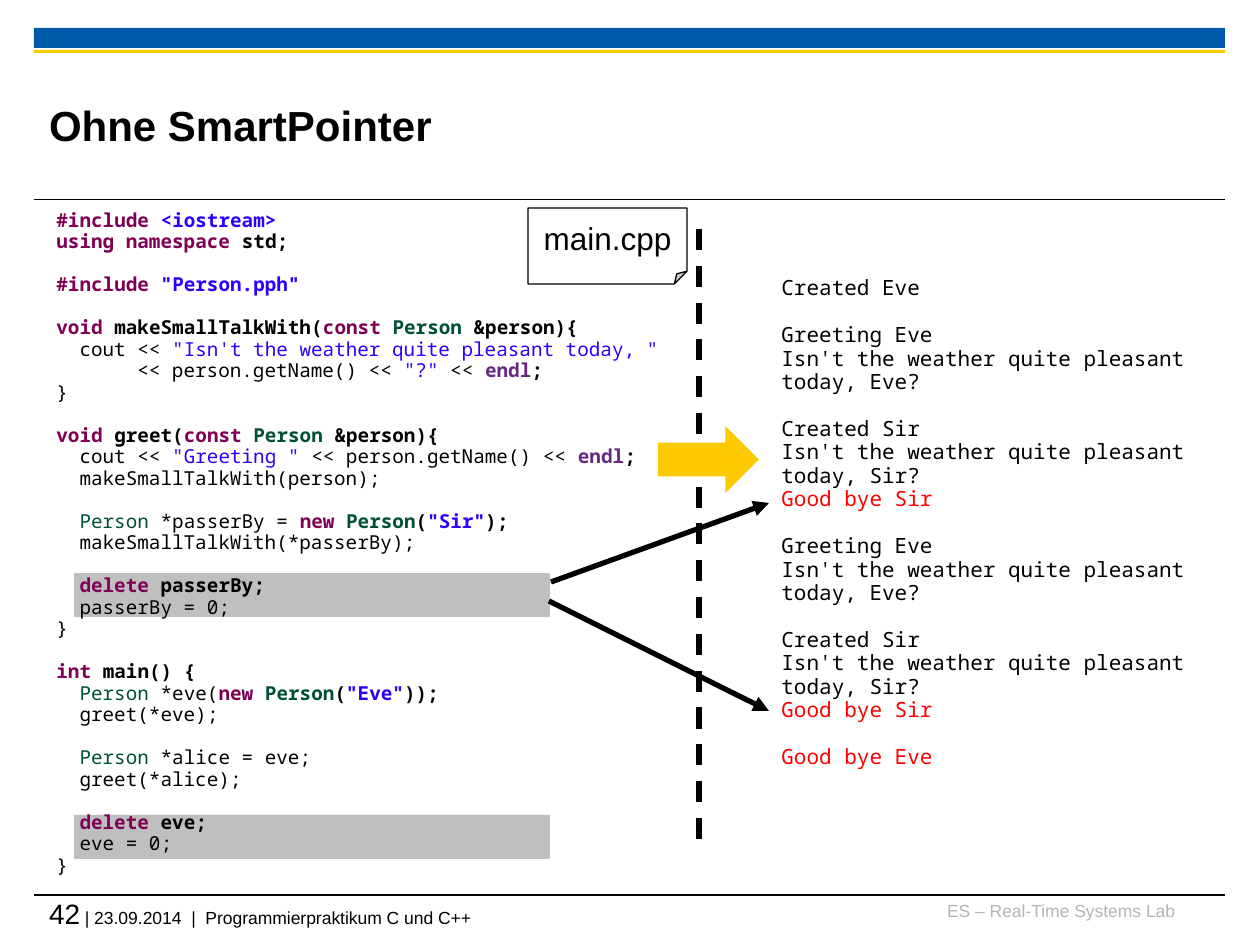
from lxml import etree
from pptx import Presentation
from pptx.dml.color import RGBColor
from pptx.enum.dml import MSO_LINE
from pptx.enum.shapes import MSO_CONNECTOR, MSO_SHAPE
from pptx.enum.text import MSO_ANCHOR, MSO_AUTO_SIZE, PP_ALIGN
from pptx.oxml.ns import qn
from pptx.util import Emu, Pt

STRAIGHT = MSO_CONNECTOR.STRAIGHT
RECT, ARROW, NOTE = MSO_SHAPE.RECTANGLE, MSO_SHAPE.RIGHT_ARROW, MSO_SHAPE.FOLDED_CORNER
DASH = MSO_LINE.DASH
MIDDLE = MSO_ANCHOR.MIDDLE
LEFT, CENTER, RIGHT = PP_ALIGN.LEFT, PP_ALIGN.CENTER, PP_ALIGN.RIGHT
GROW, FIXED = MSO_AUTO_SIZE.SHAPE_TO_FIT_TEXT, MSO_AUTO_SIZE.NONE

PX_PER_INCH = 126
SANS, MONO = "Arial", "Noto Sans Mono"
MONO_ADVANCE = 0.6
LINE_SPACING = 0.93
COLORS = {
    "black": "000000", "white": "FFFFFF", "blue": "005AA9", "yellow": "FDCA00",
    "gray": "BFBFBF", "lab": "B5B5B5", "red": "FF0000",
    "keyword": "7F0055", "string": "2A00FF", "type": "005032", "endl": "642880",
}
# Upper case marks the bold variant of a token.
TOKENS = {"n": "black", "k": "keyword", "s": "string", "t": "type", "e": "endl", "r": "red"}

# Each block is a list of lines: (indent in characters, (token, text), ...)
CODE = [
    [(0, ("K", "#include "), ("S", "<iostream>")),
     (0, ("K", "using namespace "), ("N", "std;"))],
    [(0, ("K", "#include "), ("S", '"Person.pph"'))],
    [(0, ("K", "void "), ("N", "makeSmallTalkWith("), ("K", "const "), ("T", "Person"),
      ("N", " &person){")),
     (2, ("n", "cout << "), ("s", '"Isn\'t the weather quite pleasant today, "')),
     (7, ("n", "<< person.getName() << "), ("s", '"?"'), ("n", " << "), ("E", "endl"), ("N", ";")),
     (0, ("n", "}"))],
    [(0, ("K", "void "), ("N", "greet("), ("K", "const "), ("T", "Person"), ("N", " &person){")),
     (2, ("n", "cout << "), ("s", '"Greeting "'), ("n", " << person.getName() << "),
      ("E", "endl"), ("N", ";")),
     (2, ("n", "makeSmallTalkWith(person);"))],
    [(2, ("t", "Person"), ("n", " *passerBy = "), ("K", "new "), ("T", "Person"), ("N", "("),
      ("S", '"Sir"'), ("N", ");")),
     (2, ("n", "makeSmallTalkWith(*passerBy);"))],
    [(2, ("K", "delete "), ("N", "passerBy;")),
     (2, ("n", "passerBy = 0;")),
     (0, ("n", "}"))],
    [(0, ("K", "int "), ("N", "main() {")),
     (2, ("t", "Person"), ("n", " *eve("), ("K", "new "), ("T", "Person"), ("N", "("),
      ("S", '"Eve"'), ("N", "));")),
     (2, ("n", "greet(*eve);"))],
    [(2, ("t", "Person"), ("n", " *alice = eve;")),
     (2, ("n", "greet(*alice);"))],
    [(2, ("K", "delete "), ("N", "eve;")),
     (2, ("n", "eve = 0;")),
     (0, ("n", "}"))],
]
GREETING = [(0, ("n", "Greeting Eve")),
            (0, ("n", "Isn't the weather quite pleasant today, Eve?"))]
SIR = [(0, ("n", "Created Sir")),
       (0, ("n", "Isn't the weather quite pleasant today, Sir?")),
       (0, ("r", "Good bye Sir"))]
OUTPUT = [[(0, ("n", "Created Eve"))], GREETING, SIR, GREETING, SIR, [(0, ("r", "Good bye Eve"))]]


def px(n):
    return Emu(round(n * 914400 / PX_PER_INCH))


def color(name):
    return RGBColor.from_string(COLORS[name])


def set_all(obj, values):
    for name, value in values.items():
        setattr(obj, name, value)


def add_run(p, text, size, fill="black", name=SANS, bold=False):
    r = p.add_run()
    r.text = text
    set_all(r.font, {"size": Pt(size), "name": name, "bold": bold})
    r.font.color.rgb = color(fill)


def no_margins(tf):
    set_all(tf, {f"margin_{side}": 0 for side in ("left", "top", "right", "bottom")})


def add_block(slide, kind, box, fill, line=None):
    sp = slide.shapes.add_shape(kind, *map(px, box))
    sp.shadow.inherit = False
    sp.fill.solid()
    sp.fill.fore_color.rgb = color(fill)
    if line:
        sp.line.color.rgb = color("black")
        sp.line.width = Pt(line)
    else:
        sp.line.fill.background()
    return sp


def add_line(slide, start, end, width, dash=None, arrow=False):
    cxn = slide.shapes.add_connector(STRAIGHT, *map(px, (*start, *end)))
    cxn.line.color.rgb = color("black")
    set_all(cxn.line, {"width": Pt(width), "dash_style": dash})
    if arrow:
        etree.SubElement(cxn.line._get_or_add_ln(), qn("a:tailEnd"), type="triangle")
    etree.SubElement(cxn._element.spPr, qn("a:effectLst"))


def add_text(slide, box):
    tf = slide.shapes.add_textbox(*map(px, box)).text_frame
    tf.word_wrap = True
    return tf


def add_listing(slide, box, blocks, size, gap):
    """Monospaced lines, with one empty line's height (gap, pt) between blocks."""
    tf = add_text(slide, box)
    tf.auto_size = GROW
    p = tf.paragraphs[0]
    for b, block in enumerate(blocks):
        for i, (indent, *tokens) in enumerate(block):
            if b or i:
                p = tf.add_paragraph()
            first = b > 0 and i == 0
            set_all(p, {"line_spacing": LINE_SPACING, "space_before": Pt(gap if first else 0)})
            if indent:
                p._p.get_or_add_pPr().set("marL", str(Pt(indent * size * MONO_ADVANCE)))
            for token, text in tokens:
                add_run(p, text, size, TOKENS[token.lower()], MONO, token.isupper())


def add_header(slide, box):
    x, y, w, h = box
    add_block(slide, RECT, (x, y, w, 20), "blue")
    add_block(slide, RECT, (x, y + 22, w, 3), "yellow")
    add_line(slide, (x, y + h), (x + w, y + h), 0.6)
    title = slide.shapes.title
    set_all(title, dict(zip(("left", "top", "width", "height"),
                            map(px, (x + 15, y + 39, 948, 116)))))
    tf = title.text_frame
    no_margins(tf)
    set_all(tf, {"vertical_anchor": MIDDLE, "auto_size": FIXED})
    p = tf.paragraphs[0]
    p.alignment = LEFT
    add_run(p, "Ohne SmartPointer", 24, bold=True)


def add_footer(slide, box):
    x, y, w, h = box
    add_line(slide, (x, y), (x + w, y), 0.6)
    tf = add_text(slide, (x + w - 298, y + 5, 248, 32))
    no_margins(tf)
    tf.paragraphs[0].alignment = RIGHT
    add_run(tf.paragraphs[0], "ES – Real-Time Systems Lab", 10, "lab")
    tf = add_text(slide, (x + 15, y + 2, w - 15, h))
    no_margins(tf)
    add_run(tf.paragraphs[0], "42", 16)
    add_run(tf.paragraphs[0], " | 23.09.2014  |  Programmierpraktikum C und C++", 10)


def add_code(slide, box):
    x, y, w, h = box
    for top in (369, 611):
        add_block(slide, RECT, (x + 30, y + top, 476, 44), "gray")
    add_listing(slide, box, CODE, 11, 12.3)
    note = add_block(slide, NOTE, (x + 484, y + 4, 159, 76), "white", 0.75)
    tf = note.text_frame
    set_all(tf, {"word_wrap": False, "vertical_anchor": MIDDLE})
    p = tf.paragraphs[0]
    set_all(p, {"alignment": CENTER, "line_spacing": LINE_SPACING})
    add_run(p, "main.cpp", 18)


def add_output(slide, box):
    x, y, w, h = box
    add_line(slide, (x - 70, y - 42), (x - 70, y + 578), 3, dash=DASH)
    add_block(slide, ARROW, (x - 111, y + 155, 101, 67), "yellow")
    add_listing(slide, box, OUTPUT, 12, 13.4)
    for start, end in (((-218, 311), (0, 232)), ((-220, 330), (0, 440))):
        add_line(slide, (x + start[0], y + start[1]), (x + end[0], y + end[1]), 3, arrow=True)


def main():
    prs = Presentation()
    prs.slide_width, prs.slide_height = px(1260), px(945)
    slide = prs.slides.add_slide(prs.slide_layouts[5])
    add_header(slide, (34, 28, 1191, 172))
    add_footer(slide, (34, 895, 1191, 42))
    add_code(slide, (44, 204, 853, 685))
    add_output(slide, (769, 271, 486, 510))
    prs.save("out.pptx")


if __name__ == "__main__":
    main()
